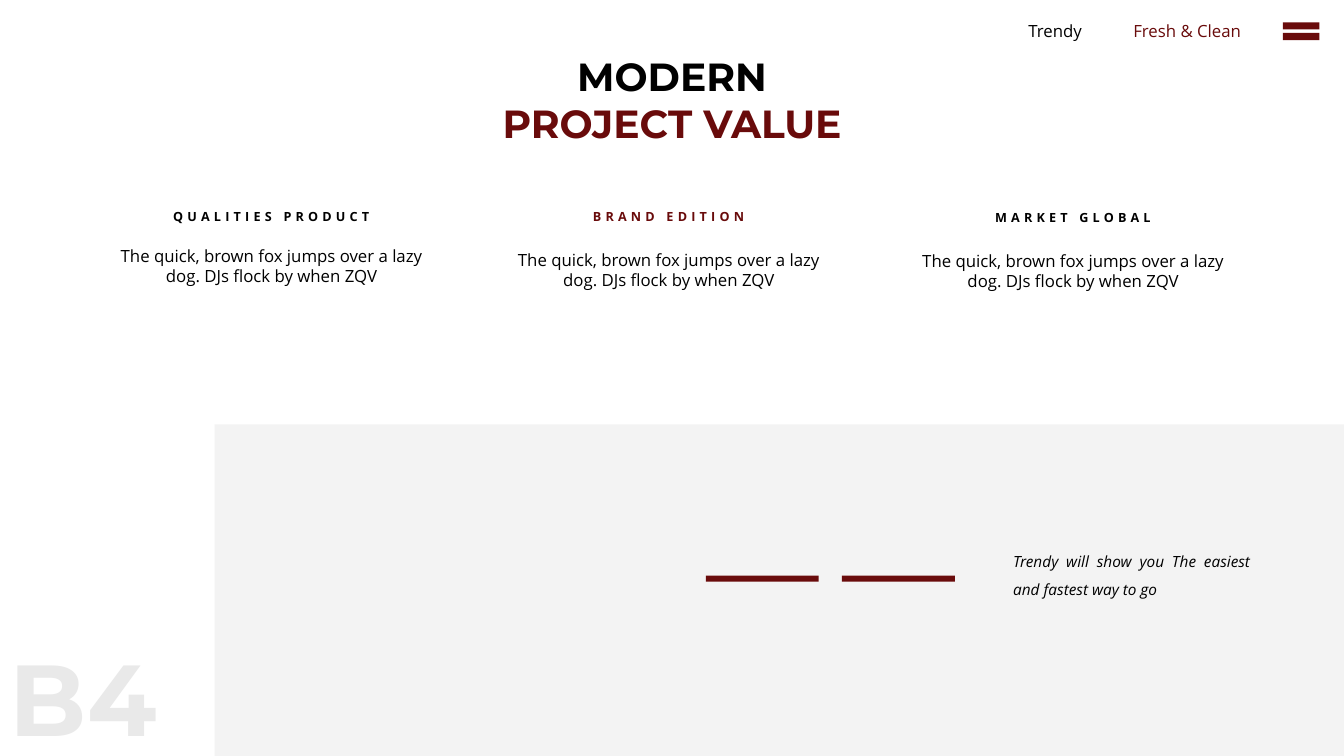
from lxml import etree
from pptx import Presentation
from pptx.dml import color as dml
from pptx.enum import shapes, text
from pptx.oxml import ns
from pptx.util import Inches, Pt

BLACK, MAROON, PANEL, PALE = "000000", "690B0B", "F2F2F2", "E9E9E9"
BODY, DISPLAY = "Open Sans", "Montserrat"
ALIGN = text.PP_ALIGN


def rgb(value):
    """Turn a hex string into a colour."""
    return dml.RGBColor.from_string(value)


def add_block(slide, kind, place, colour, opacity=100):
    """Draw a plain filled preset shape without outline."""
    block = slide.shapes.add_shape(kind, *map(Inches, place))
    block.shadow.inherit = False
    block.fill.solid()
    block.fill.fore_color.rgb = rgb(colour)
    block.line.fill.background()
    if opacity < 100:
        tint = block.fill._xPr.find(".//" + ns.qn("a:srgbClr"))
        etree.SubElement(tint, ns.qn("a:alpha")).set("val", str(opacity * 1000))
    return block


def write(frame, runs, size, font=BODY, align=ALIGN.CENTER, wrap=True,
          bold=False, italic=False, tracking=0, spacing=1.0):
    """Fill a frame with one paragraph of (wording, colour) runs."""
    frame.word_wrap = wrap
    frame.auto_size = text.MSO_AUTO_SIZE.SHAPE_TO_FIT_TEXT
    frame.vertical_anchor = text.MSO_ANCHOR.TOP
    paragraph = frame.paragraphs[0]
    paragraph.alignment = align
    paragraph.line_spacing = spacing
    for wording, colour in runs:
        run = paragraph.add_run()
        run.text = wording
        run.font.name, run.font.size = font, Pt(size)
        run.font.bold, run.font.italic = bold, italic
        run.font.color.rgb = rgb(colour)
        if tracking:
            run._r.get_or_add_rPr().set("spc", str(tracking * 100))


def add_label(slide, place, wording, size, colour=BLACK, **style):
    """Add a text box holding one run."""
    label = slide.shapes.add_textbox(*map(Inches, place))
    write(label.text_frame, [(wording, colour)], size, **style)


def add_title(slide):
    """Place the two-colour heading."""
    title = slide.shapes.title
    title.left, title.top = Inches(4.8), Inches(0.47)
    title.width, title.height = Inches(3.73), Inches(1.04)
    write(title.text_frame, [("MODERN ", BLACK), ("PROJECT VALUE", MAROON)],
          28, font=DISPLAY, bold=True)


def add_navigation(slide):
    """Add the top right menu."""
    add_label(slide, (10.09, 0.16, 0.75, 0.3), "Trendy", 12, wrap=False)
    add_label(slide, (11.13, 0.16, 1.29, 0.3), "Fresh & Clean", 12, MAROON, wrap=False)
    add_block(slide, shapes.MSO_SHAPE.MATH_EQUAL, (12.66, 0.16, 0.49, 0.3), MAROON)


def add_value(slide, left, heading_top, body_top, heading, colour):
    """Add one value: a spaced heading above its description."""
    add_label(slide, (left, body_top, 3.27, 0.5),
              "The quick, brown fox jumps over a lazy dog. DJs flock by when ZQV", 12)
    add_label(slide, (left + 0.48, heading_top, 2.3, 0.25), heading, 9, colour,
              bold=True, tracking=3)


def main():
    """Build the slide and save it."""
    deck = Presentation()
    deck.slide_width, deck.slide_height = Inches(13.33), Inches(7.5)
    slide = deck.slides.add_slide(deck.slide_layouts[5])
    rectangle = shapes.MSO_SHAPE.RECTANGLE
    add_block(slide, rectangle, (2.13, 4.21, 11.2, 3.29), PANEL, opacity=90)
    add_label(slide, (0, 6.26, 1.75, 1.32), "B4", 72, PALE, font=DISPLAY,
              align=ALIGN.LEFT, wrap=False, bold=True)
    add_label(slide, (9.95, 5.34, 2.55, 0.63),
              "Trendy will show you The easiest and fastest way to go", 11,
              align=ALIGN.JUSTIFY, italic=True, spacing=1.5)
    add_title(slide)
    add_navigation(slide)
    for left in (7.0, 8.35):
        add_block(slide, rectangle, (left, 5.71, 1.12, 0.06), MAROON)
    for value in (
        (1.06, 2.02, 2.39, "QUALITIES PRODUCT", BLACK),
        (5.0, 2.02, 2.43, "BRAND EDITION", MAROON),
        (9.01, 2.03, 2.44, "MARKET GLOBAL", BLACK),
    ):
        add_value(slide, *value)
    deck.save("out.pptx")


if __name__ == "__main__":
    main()
